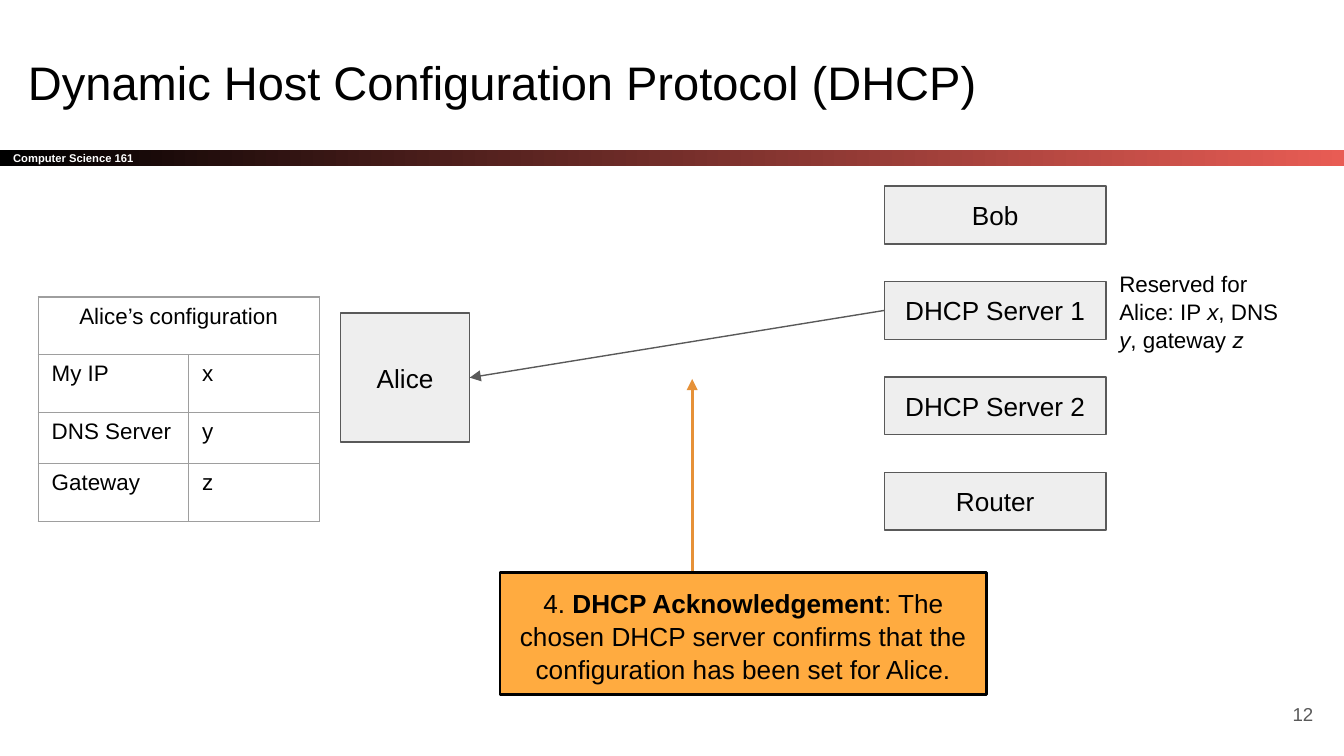
from dataclasses import dataclass

from lxml.etree import SubElement
from pptx import Presentation
from pptx.dml.color import RGBColor
from pptx.enum.shapes import MSO_CONNECTOR as Connector, MSO_SHAPE as Shape
from pptx.enum.text import MSO_ANCHOR as Anchor, PP_ALIGN as Align
from pptx.oxml.ns import qn
from pptx.util import Inches, Pt

COLUMNS, ROWS = 100, 56.25
UNIT = Inches(0.1)

BLACK = RGBColor(0x00, 0x00, 0x00)
WHITE = RGBColor(0xFF, 0xFF, 0xFF)
CORAL = RGBColor(0xE8, 0x5C, 0x54)
GREY = RGBColor(0x59, 0x59, 0x59)
PALE = RGBColor(0xEE, 0xEE, 0xEE)
BORDER = RGBColor(0x9E, 0x9E, 0x9E)
ORANGE = RGBColor(0xFF, 0xAB, 0x40)
DARK_ORANGE = RGBColor(0xE6, 0x91, 0x38)

BOLD = {"bold": True}
ITALIC = {"italic": True}


@dataclass
class Box:
    left: float
    top: float
    width: float
    height: float

    def emu(self):
        return [grid(value) for value in (self.left, self.top, self.width, self.height)]

    def middle(self):
        return self.top + self.height / 2


def grid(units):
    return round(units * UNIT)


def apply_format(target, values):
    for name, value in values.items():
        setattr(target, name, value)


def write(frame, runs, size, color=BLACK, align=Align.LEFT, anchor=Anchor.TOP, spacing=1.0):
    margins = dict.fromkeys(("margin_left", "margin_top", "margin_right", "margin_bottom"), UNIT)
    apply_format(frame, {"word_wrap": True, "vertical_anchor": anchor, **margins})
    paragraph = frame.paragraphs[0]
    apply_format(paragraph, {"alignment": align, "line_spacing": spacing})
    for text, style in runs:
        run = paragraph.add_run()
        run.text = text
        apply_format(run.font, {"name": "Arial", "size": Pt(size), **style})
        run.font.color.rgb = color


def add_text(slide, box, runs, size, **layout):
    write(slide.shapes.add_textbox(*box.emu()).text_frame, runs, size, **layout)


def add_block(slide, box, runs, fill=PALE, line=GREY, weight=0.75, anchor=Anchor.MIDDLE, spacing=1.0):
    shape = slide.shapes.add_shape(Shape.RECTANGLE, *box.emu())
    shape.shadow.inherit = False
    shape.fill.solid()
    shape.fill.fore_color.rgb = fill
    shape.line.color.rgb = line
    shape.line.width = Pt(weight)
    write(shape.text_frame, runs, 14, align=Align.CENTER, anchor=anchor, spacing=spacing)


def add_arrow(slide, start, end, color, weight):
    points = [grid(value) for value in (*start, *end)]
    arrow = slide.shapes.add_connector(Connector.STRAIGHT, *points)
    arrow.line.color.rgb = color
    arrow.line.width = Pt(weight)
    SubElement(arrow.line._get_or_add_ln(), qn("a:tailEnd"), type="triangle")
    SubElement(arrow._element.spPr, qn("a:effectLst"))


def add_course_bar(slide, box):
    bar = slide.shapes.add_shape(Shape.RECTANGLE, *box.emu())
    bar.shadow.inherit = False
    bar.line.fill.background()
    bar.fill.gradient()
    bar.fill.gradient_angle = 0
    for stop, position, color in zip(bar.fill.gradient_stops, (0, 1), (BLACK, CORAL)):
        stop.position = position
        stop.color.rgb = color
    write(bar.text_frame, [("Computer Science 161", BOLD)], 6, color=WHITE, anchor=Anchor.MIDDLE)


def add_borders(cell):
    properties = cell._tc.get_or_add_tcPr()
    for side in ("a:lnL", "a:lnR", "a:lnT", "a:lnB"):
        line = SubElement(properties, qn(side), w=str(Pt(0.75)))
        fill = SubElement(line, qn("a:solidFill"))
        SubElement(fill, qn("a:srgbClr"), val=str(BORDER))


def add_configuration(slide, box):
    entries = [("Alice’s configuration", ""), ("My IP", "x"), ("DNS Server", "y"), ("Gateway", "z")]
    table = slide.shapes.add_table(len(entries), 2, *box.emu()).table
    apply_format(table, {"first_row": False, "horz_banding": False})
    for column, width in zip(table.columns, (11.2, 9.7)):
        column.width = grid(width)
    for row, height in zip(table.rows, (4.3, 4.3, 3.8, 4.3)):
        row.height = grid(height)
    table.cell(0, 0).merge(table.cell(0, 1))
    for row, texts in enumerate(entries):
        for column, text in enumerate(texts):
            cell = table.cell(row, column)
            add_borders(cell)
            cell.fill.background()
            if text:
                align = Align.LEFT if row else Align.CENTER
                write(cell.text_frame, [(text, {})], 12, align=align)


def add_hosts(slide, box):
    names = ["Bob", "DHCP Server 1", "DHCP Server 2", "Router"]
    height = 4.3
    pitch = (box.height - height) / (len(names) - 1)
    hosts = [Box(box.left, box.top + index * pitch, box.width, height) for index in range(len(names))]
    for name, host in zip(names, hosts):
        add_block(slide, host, [(name, {})])
    return hosts


def add_step(slide, box, arrow_column, arrow_row):
    add_arrow(slide, (arrow_column, box.middle()), (arrow_column, arrow_row), DARK_ORANGE, 1.5)
    runs = [
        ("4. ", {}),
        ("DHCP Acknowledgement", BOLD),
        (": The chosen DHCP server confirms that the configuration has been set for Alice.", {}),
    ]
    add_block(slide, box, runs, ORANGE, BLACK, 1.5, Anchor.TOP, 1.05)


def add_reservation(slide, box):
    runs = [
        ("Reserved for Alice: IP ", {}), ("x", ITALIC),
        (", DNS ", {}), ("y", ITALIC),
        (", gateway ", {}), ("z", ITALIC),
    ]
    add_text(slide, box, runs, 12, spacing=1.05)


def build_slide(presentation):
    slide = presentation.slides.add_slide(presentation.slide_layouts[6])
    add_course_bar(slide, Box(0, 11.15, COLUMNS, 1.2))
    add_text(slide, Box(1.1, 3, 93.2, 6.3), [("Dynamic Host Configuration Protocol (DHCP)", {})], 25.2)
    add_text(slide, Box(92.7, 51, 6, 4.3), [("12", {})], 10,
             color=GREY, align=Align.RIGHT, anchor=Anchor.MIDDLE)
    alice = Box(25.35, 23.3, 9.6, 9.6)
    add_block(slide, alice, [("Alice", {})])
    add_configuration(slide, Box(2.85, 22.1, 20.9, 16.7))
    add_step(slide, Box(37.2, 42.6, 36.2, 9.1), 51.5, 28.2)
    hosts = add_hosts(slide, Box(65.8, 13.85, 16.5, 25.6))
    server = hosts[1]
    add_arrow(slide, (server.left, server.middle()), (alice.left + alice.width, alice.middle()), GREY, 0.75)
    add_reservation(slide, Box(server.left + server.width, 19, 15.3, 8.1))


def main():
    presentation = Presentation()
    apply_format(presentation, {"slide_width": grid(COLUMNS), "slide_height": grid(ROWS)})
    build_slide(presentation)
    presentation.save("out.pptx")


if __name__ == "__main__":
    main()
